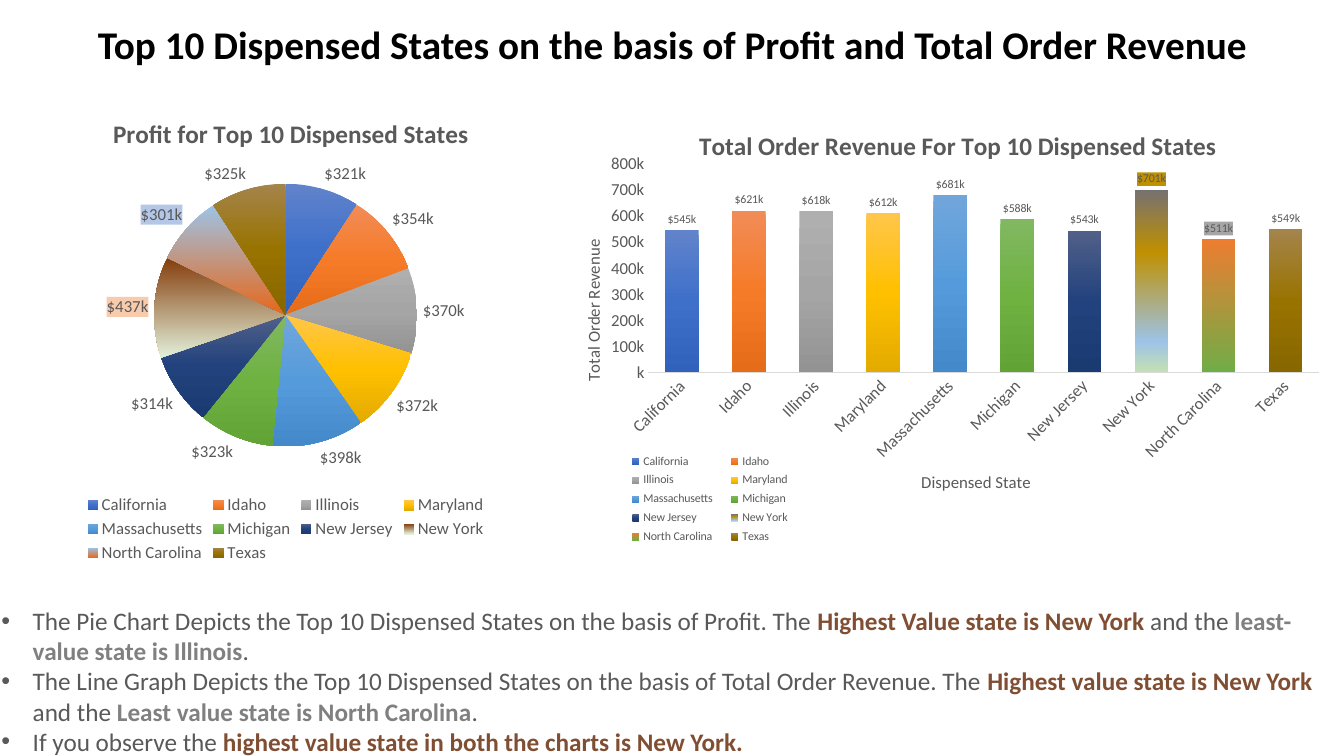
from dataclasses import dataclass

from pptx import Presentation
from pptx.chart.data import CategoryChartData
from pptx.dml.color import RGBColor
from pptx.enum.chart import XL_CHART_TYPE, XL_LABEL_POSITION, XL_LEGEND_POSITION, XL_TICK_MARK
from pptx.enum.text import MSO_ANCHOR, PP_ALIGN
from pptx.oxml import parse_xml
from pptx.oxml.ns import nsdecls
from pptx.util import Inches, Pt


@dataclass(frozen=True)
class Theme:
    font: str = "Calibri"
    black: str = "000000"
    text: str = "595959"
    high: str = "804E32"
    low: str = "808080"
    axis: str = "D9D9D9"
    title: float = 28
    body: float = 18
    label: float = 12
    small: float = 8.5
    money: str = r"[$$-C09]#,\k"
    thousands: str = r"#,\k"


T = Theme()
STATES = ["California", "Idaho", "Illinois", "Maryland", "Massachusetts",
          "Michigan", "New Jersey", "New York", "North Carolina", "Texas"]
PROFIT = [321000, 354000, 370000, 372000, 398000, 323000, 314000, 437000, 301000, 325000]
REVENUE = [545000, 621000, 618000, 612000, 681000, 588000, 543000, 701000, 511000, 549000]
SHADES = ["6183CB 3E70CA 3062BB", "F18C57 F67B28 E56C19", "AFAFAF A5A5A5 939393",
          "FFC64B FFC000 E3AB00", "71A6DB 559BDB 448ACA", "81B861 6FB242 62A336",
          "516089 22427D 1A3A72", "", "", "A4844B 997300 886600"]
NEW_YORK, NORTH_CAROLINA = 7, 8
BASE = {i: list(zip((0, 50, 100), c.split())) for i, c in enumerate(SHADES) if c}
PIE_FILLS = BASE | {NEW_YORK: [(0, "843C0B"), (100, "E2F0D9")],
                    NORTH_CAROLINA: [(0, "9DC3E6"), (100, "E76719")]}
BAR_FILLS = BASE | {NEW_YORK: [(0, "767171"), (34, "BF9000"), (83, "9DC3E6"), (100, "C5E0B4")],
                    NORTH_CAROLINA: [(0, "ED7D31"), (100, "70AD47")]}
NOTES = [
    [("The Pie Chart Depicts the Top 10 Dispensed States on the basis of Profit. The ", T.text),
     ("Highest Value state is New York ", T.high), ("and the ", T.text),
     ("least-value state is Illinois", T.low), (".", T.text)],
    [("The Line Graph Depicts the Top 10 Dispensed States on the basis of Total Order Revenue. The ",
      T.text),
     ("Highest value state is New York ", T.high), ("and the ", T.text),
     ("Least value state is North Carolina", T.low), (".", T.text)],
    [("If you observe the ", T.text),
     ("highest value state in both the charts is New York.", T.high)],
]


class Deck:
    """Hold the theme, the current slide and its grid of 160 columns by 90 rows."""

    def __init__(self, theme):
        self.t = theme
        self.prs = Presentation()
        self.prs.slide_width, self.prs.slide_height = Inches(13.33), Inches(7.5)
        self.s = self.prs.slides.add_slide(self.prs.slide_layouts[5])

    def box(self, x, y, w, h):
        col, row = self.prs.slide_width / 160, self.prs.slide_height / 90
        return [int(v) for v in (x * col, y * row, w * col, h * row)]

    def style(self, font, color, size, bold=False):
        for name, value in {"name": self.t.font, "size": Pt(size), "bold": bold}.items():
            setattr(font, name, value)
        font.color.rgb = RGBColor.from_string(color)

    def title(self, text, *cells):
        sp = self.s.shapes.title
        for name, value in zip(("left", "top", "width", "height"), self.box(*cells)):
            setattr(sp, name, value)
        tf = sp.text_frame
        tf.text, tf.vertical_anchor = text, MSO_ANCHOR.MIDDLE
        p = tf.paragraphs[0]
        p.alignment = PP_ALIGN.CENTER
        self.style(p.runs[0].font, self.t.black, self.t.title, True)

    def bullets(self, items, *cells):
        tf = self.s.shapes.add_textbox(*self.box(*cells)).text_frame
        fmt = {"word_wrap": True, "vertical_anchor": MSO_ANCHOR.MIDDLE, "margin_bottom": Inches(0.3)}
        for name, value in fmt.items():
            setattr(tf, name, value)
        for i, runs in enumerate(items):
            p = tf.add_paragraph() if i else tf.paragraphs[0]
            pPr = p._p.get_or_add_pPr()
            pPr.set("marL", str(Inches(0.31)))
            pPr.set("indent", str(-Inches(0.31)))
            pPr.append(parse_xml(f'<a:buFont {nsdecls("a")} typeface="Arial"/>'))
            pPr.append(parse_xml(f'<a:buChar {nsdecls("a")} char="•"/>'))
            for text, color in runs:
                r = p.add_run()
                r.text = text
                self.style(r.font, color, self.t.body, color != self.t.text)

    def place(self, parent, index, target=None, **shares):
        for old in parent.xpath("c:layout"):
            parent.remove(old)
        modes = {"xMode": "edge", "yMode": "edge"}
        if target:
            modes = {"layoutTarget": target} | modes
        body = "".join(f'<c:{k} val="{v}"/>' for k, v in (modes | shares).items())
        parent.insert(index, parse_xml(
            f'<c:layout {nsdecls("c")}><c:manualLayout>{body}</c:manualLayout></c:layout>'))

    def heading(self, title, text, size, bold, x, y):
        tf = title.text_frame
        tf.text = text
        self.style(tf.paragraphs[0].runs[0].font, self.t.text, size, bold)
        self.place(title._element, 1, x=x, y=y)
        return tf

    def chart(self, kind, title, values, fills, marks, label_size, legend, plot, title_at, *cells):
        data = CategoryChartData()
        data.categories = STATES
        data.add_series("Series 1", values)
        chart = self.s.shapes.add_chart(kind, *self.box(*cells), data).chart
        self.style(chart.font, self.t.text, self.t.label)
        chart.has_title = chart.has_legend = True
        self.heading(chart.chart_title, title, self.t.body, True, *title_at)
        chart.legend.position, chart.legend.include_in_layout = legend, False
        self.style(chart.legend.font, self.t.text, label_size)
        chart.plots[0].vary_by_categories = True
        self.place(chart._chartSpace.xpath(".//c:plotArea")[0], 0, "inner", **dict(zip("xywh", plot)))
        ser = chart.plots[0].series[0]
        labels = ser.data_labels
        fmt = {"show_value": True, "position": XL_LABEL_POSITION.OUTSIDE_END,
               "number_format": self.t.money, "number_format_is_linked": False}
        for name, value in fmt.items():
            setattr(labels, name, value)
        self.style(labels.font, self.t.text, label_size)
        for i, stops in fills.items():
            self.gradient(ser.points[i].format.fill, stops)
        for i, color in marks.items():
            self.mark(ser, i, color, label_size)
        return chart

    def gradient(self, fill, stops):
        fill.gradient()
        fill.gradient_angle = 270
        gs_list = fill.gradient_stops._gsLst
        for old in list(gs_list):
            gs_list.remove(old)
        for pos, color in stops:
            gs_list.append(parse_xml(f'<a:gs {nsdecls("a")} pos="{pos * 1000}">'
                                     f'<a:srgbClr val="{color}"/></a:gs>'))

    def mark(self, ser, i, color, size):
        label = ser.points[i].data_label
        self.style(label.font, self.t.text, size)
        label.position = XL_LABEL_POSITION.OUTSIDE_END
        txPr = ser._element.xpath(f'.//c:dLbl[c:idx/@val="{i}"]/c:txPr')[0]
        txPr.addprevious(parse_xml(
            f'<c:numFmt {nsdecls("c")} formatCode="{self.t.money}" sourceLinked="0"/>'))
        txPr.addprevious(parse_xml(f'<c:spPr {nsdecls("c", "a")}><a:solidFill>'
                                   f'<a:srgbClr val="{color}"/></a:solidFill></c:spPr>'))

    def axes(self, chart):
        cat, val = chart.category_axis, chart.value_axis
        for axis in (cat, val):
            axis.major_tick_mark = axis.minor_tick_mark = XL_TICK_MARK.NONE
            axis.has_major_gridlines = False
            self.style(axis.tick_labels.font, self.t.text, self.t.label)
        cat.format.line.color.rgb = RGBColor.from_string(self.t.axis)
        cat.format.line.width = Pt(1)
        cat._element.xpath("c:txPr/a:bodyPr")[0].set("rot", "-2700000")
        val.format.line.fill.background()
        val.minimum_scale, val.maximum_scale, val.major_unit = 0, 800000, 100000
        val.tick_labels.number_format = self.t.thousands
        val.tick_labels.number_format_is_linked = False
        self.heading(cat.axis_title, "Dispensed State", self.t.label, False, 0.45, 0.81)
        tf = self.heading(val.axis_title, "Total Order Revenue", self.t.label, False, 0.01, 0.3)
        tf._txBody.bodyPr.set("rot", "-5400000")


def main():
    deck = Deck(T)
    deck.bullets(NOTES, -1, 73.3, 160, 18.5)
    deck.chart(XL_CHART_TYPE.PIE, "Profit for Top 10 Dispensed States", PROFIT, PIE_FILLS,
               {NEW_YORK: "F8CBAD", NORTH_CAROLINA: "B4C7E7"}, T.label, XL_LEGEND_POSITION.BOTTOM,
               (0.27, 0.2, 0.46, 0.55), (0.19, 0.05), 0, 10.4, 68, 57.1)
    bars = deck.chart(XL_CHART_TYPE.COLUMN_CLUSTERED, "Total Order Revenue For Top 10 Dispensed States",
                      REVENUE, BAR_FILLS, {NEW_YORK: "BF9000", NORTH_CAROLINA: "A6A6A6"}, T.small,
                      XL_LEGEND_POSITION.RIGHT, (0.1, 0.14, 0.87, 0.46), (0.16, 0.05),
                      68, 12, 91.8, 53.9)
    bars.plots[0].gap_width = 100
    deck.axes(bars)
    deck.place(bars.legend._element, 1, x=0.06, y=0.77, w=0.24, h=0.22)
    deck.title("Top 10 Dispensed States on the basis of Profit and Total Order Revenue", 0, 1.8, 160, 6.8)
    deck.prs.save("out.pptx")


if __name__ == "__main__":
    main()
